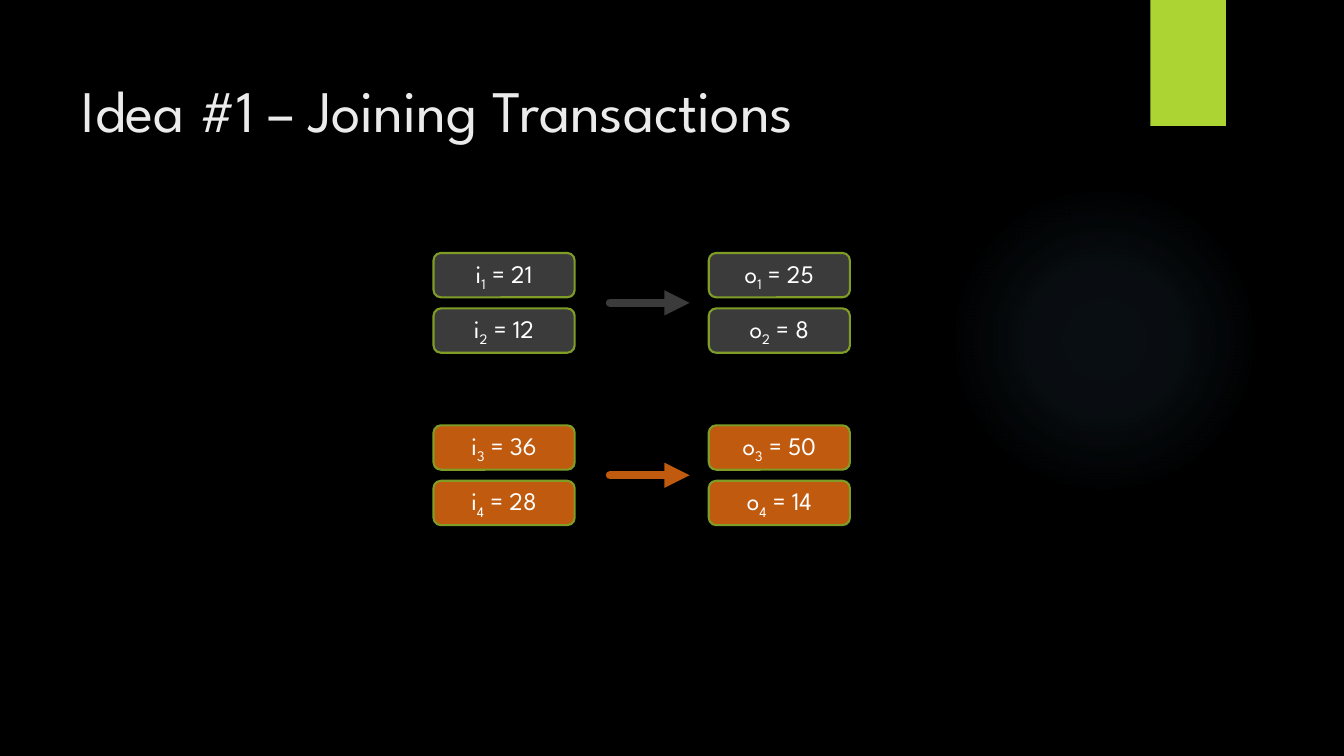
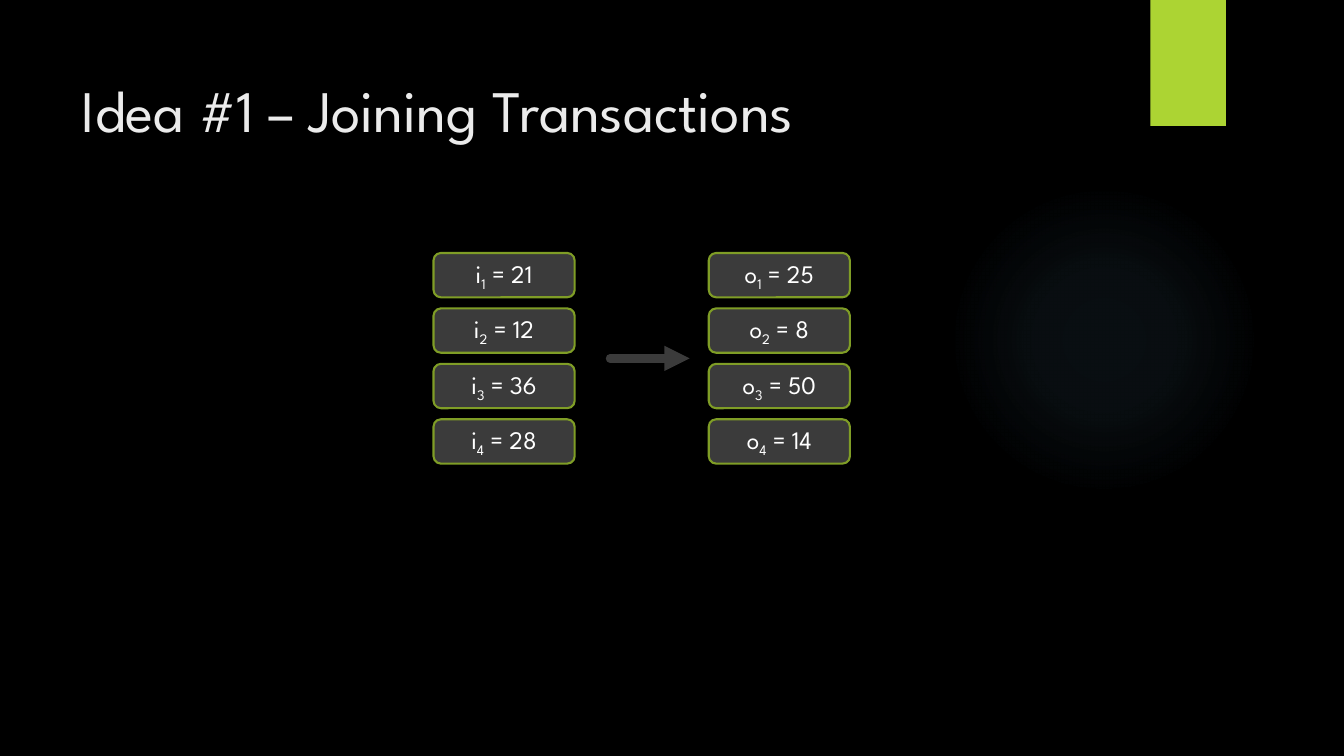
from dataclasses import dataclass

from lxml.etree import SubElement
from pptx import Presentation
from pptx.dml.color import RGBColor
from pptx.enum.shapes import MSO_CONNECTOR as Connector, MSO_SHAPE as Shape
from pptx.enum.text import MSO_ANCHOR as Anchor, PP_ALIGN as Align
from pptx.oxml import parse_xml
from pptx.oxml.ns import nsdecls, qn
from pptx.presentation import Presentation as Deck
from pptx.slide import Slide
from pptx.util import Inches, Pt

FONT = "League Spartan"
BLACK = RGBColor(0x00, 0x00, 0x00)
WHITE = RGBColor(0xFF, 0xFF, 0xFF)
TITLE_GRAY = RGBColor(0xEB, 0xEB, 0xEB)
LIME = RGBColor(0xAC, 0xD4, 0x33)
OUTLINE_GREEN = RGBColor(0x7F, 0x9D, 0x26)
CHARCOAL = RGBColor(0x3B, 0x3B, 0x3B)
ORANGE = RGBColor(0xC0, 0x5A, 0x0E)
GLOW_BLUE = RGBColor(0x7A, 0xC4, 0xF0)
GLOW_STOPS = ((0, 7), (36, 6), (69, 0))  # position and opacity, in percent

TITLE = "Idea #1 – Joining Transactions"
TITLE_ONLY_LAYOUT = 5

# Transaction grid, in inches
INPUT_LEFT, OUTPUT_LEFT = 4.3, 7.03
BOX_WIDTH, BOX_HEIGHT = 1.4, 0.44
ROW_PITCH = 0.55
ARROW_START, ARROW_END = 6.05, 6.84
FIRST_TOP, SECOND_TOP = 2.51, 4.22

INPUTS = (21, 12, 36, 28)
OUTPUTS = (25, 8, 50, 14)


@dataclass(frozen=True)
class Transaction:
    top: float
    color: RGBColor
    first: int  # number of the first input and output
    last: int


SLIDES = (
    (Transaction(FIRST_TOP, CHARCOAL, 1, 2), Transaction(SECOND_TOP, ORANGE, 3, 4)),
    (Transaction(FIRST_TOP, CHARCOAL, 1, 4),),
)


def add_glow(slide: Slide) -> None:
    glow = slide.shapes.add_shape(
        Shape.OVAL, Inches(9.41), Inches(1.83), Inches(3.08), Inches(3.08))
    glow.shadow.inherit = False
    glow.line.fill.background()
    glow.fill.background()
    stops = "".join(
        f'<a:gs pos="{position * 1000}"><a:srgbClr val="{GLOW_BLUE}">'
        f'<a:alpha val="{opacity * 1000}"/></a:srgbClr></a:gs>'
        for position, opacity in GLOW_STOPS)
    gradient = parse_xml(
        f'<a:gradFill {nsdecls("a")}><a:gsLst>{stops}</a:gsLst><a:path path="circle">'
        '<a:fillToRect l="50000" t="50000" r="50000" b="50000"/></a:path></a:gradFill>')
    properties = glow.element.spPr
    properties.replace(properties.find(qn("a:noFill")), gradient)


def add_accent_tab(slide: Slide) -> None:
    tab = slide.shapes.add_shape(
        Shape.RECTANGLE, Inches(11.41), Inches(0), Inches(0.75), Inches(1.25))
    tab.shadow.inherit = False
    tab.fill.solid()
    tab.fill.fore_color.rgb = LIME
    tab.line.fill.background()


def format_title(slide: Slide) -> None:
    title = slide.shapes.title
    title.left, title.top = Inches(0.71), Inches(0.5)
    title.width, title.height = Inches(10.29), Inches(1.53)
    frame = title.text_frame
    frame.text = TITLE
    frame.vertical_anchor = Anchor.TOP
    frame.margin_top = Inches(0.23)
    paragraph = frame.paragraphs[0]
    paragraph.alignment = Align.LEFT
    paragraph.font.name = FONT
    paragraph.font.size = Pt(42)
    paragraph.font.color.rgb = TITLE_GRAY


def add_box(slide: Slide, left: float, top: float, color: RGBColor,
            symbol: str, number: int, value: int) -> None:
    box = slide.shapes.add_shape(
        Shape.ROUNDED_RECTANGLE, Inches(left), Inches(top),
        Inches(BOX_WIDTH), Inches(BOX_HEIGHT))
    box.shadow.inherit = False
    box.fill.solid()
    box.fill.fore_color.rgb = color
    box.line.color.rgb = OUTLINE_GREEN
    box.line.width = Pt(1.5)
    box.text_frame.vertical_anchor = Anchor.MIDDLE
    paragraph = box.text_frame.paragraphs[0]
    paragraph.alignment = Align.CENTER
    paragraph.font.name = FONT
    paragraph.font.size = Pt(18)
    paragraph.font.color.rgb = WHITE
    for text in (symbol, str(number), f" = {value}"):
        paragraph.add_run().text = text
    subscript = paragraph.runs[1]
    subscript._r.get_or_add_rPr().set("baseline", "-25000")


def add_arrow(slide: Slide, middle: float, color: RGBColor) -> None:
    arrow = slide.shapes.add_connector(
        Connector.STRAIGHT, Inches(ARROW_START), Inches(middle),
        Inches(ARROW_END), Inches(middle))
    arrow.line.color.rgb = color
    arrow.line.width = Pt(6)
    line = arrow.line._get_or_add_ln()
    line.set("cap", "rnd")
    SubElement(line, qn("a:tailEnd"), type="triangle")
    SubElement(arrow.element.spPr, qn("a:effectLst"))


def add_transaction(slide: Slide, transaction: Transaction) -> None:
    columns = ((INPUT_LEFT, "i", INPUTS), (OUTPUT_LEFT, "o", OUTPUTS))
    for left, symbol, values in columns:
        for number in range(transaction.first, transaction.last + 1):
            top = transaction.top + (number - transaction.first) * ROW_PITCH
            add_box(slide, left, top, transaction.color,
                    symbol, number, values[number - 1])
    # The arrow sits at half the height of the stack
    height = (transaction.last - transaction.first) * ROW_PITCH + BOX_HEIGHT
    add_arrow(slide, transaction.top + height / 2, transaction.color)


def add_slide(presentation: Deck, transactions: tuple[Transaction, ...]) -> None:
    slide = presentation.slides.add_slide(
        presentation.slide_layouts[TITLE_ONLY_LAYOUT])
    add_glow(slide)
    add_accent_tab(slide)
    format_title(slide)
    for transaction in transactions:
        add_transaction(slide, transaction)


def main() -> None:
    presentation = Presentation()
    presentation.slide_width = Inches(13.33)
    presentation.slide_height = Inches(7.5)
    background = presentation.slide_master.background.fill
    background.solid()
    background.fore_color.rgb = BLACK
    for transactions in SLIDES:
        add_slide(presentation, transactions)
    presentation.save("out.pptx")


if __name__ == "__main__":
    main()
